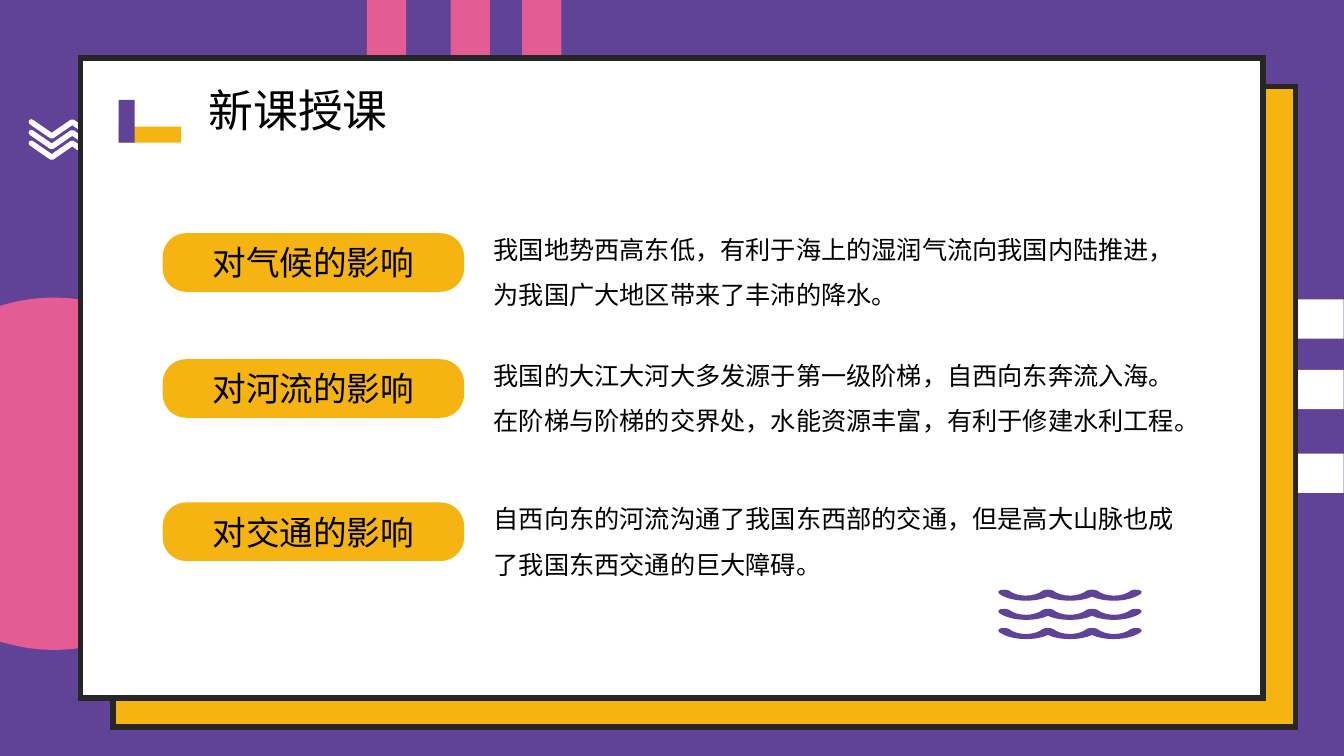
"""Build the lesson slide on how the terrain affects climate, rivers and traffic."""
from dataclasses import dataclass
from typing import Optional

from lxml import etree
from pptx import Presentation
from pptx import util as u
from pptx.dml import color as c
from pptx.enum import shapes as s
from pptx.enum import text as t
from pptx.oxml import ns

PURPLE = c.RGBColor(0x60, 0x42, 0x97)
YELLOW = c.RGBColor(0xF5, 0xB4, 0x12)
PINK = c.RGBColor(0xE4, 0x5C, 0x94)
DARK = c.RGBColor(0x26, 0x26, 0x26)
WHITE = c.RGBColor(0xFF, 0xFF, 0xFF)
BLACK = c.RGBColor(0x00, 0x00, 0x00)
FONT = "Noto Sans CJK SC"

Point = tuple[float, float]


@dataclass(frozen=True)
class Block:
    left: float
    top: float
    width: float
    height: float
    fill: c.RGBColor
    border: Optional[c.RGBColor] = None
    rounding: Optional[float] = None


@dataclass(frozen=True)
class Effect:
    top: float
    heading: str
    detail: str


WHITE_BARS = [Block(683.3, top, 276.5, 28.1, WHITE) for top in (213.8, 264.2, 324)]
PINK_BARS = [Block(left, 0, 28.1, 215.3, PINK) for left in (262.1, 321.8, 373)]
BACK_CARD = Block(80.8, 61.9, 844.6, 457.2, YELLOW, DARK)
FRONT_CARD = Block(57.6, 41.5, 844.6, 457.2, WHITE, DARK)
TITLE_MARK = [
    Block(84.8, 90.5, 44.6, 11.4, YELLOW),
    Block(84.8, 71.3, 11.4, 30.6, PURPLE),
]
DISC = [
    (0, 218.5), (13, 214.6), (25.2, 212.6), (38.9, 212.6),
    (108, 212.6), (164.3, 269.3), (164.3, 338.4),
    (164.3, 407.5), (108, 464.2), (38.9, 464.2),
    (25.2, 464.2), (13, 462.2), (0, 458.3),
]
EFFECTS = [
    Effect(166.6, "对气候的影响",
           "我国地势西高东低，有利于海上的湿润气流向我国内陆推进，为我国广大地区带来了丰沛的降水。"),
    Effect(256.6, "对河流的影响",
           "我国的大江大河大多发源于第一级阶梯，自西向东奔流入海。在阶梯与阶梯的交界处，水能资源丰富，有利于修建水利工程。"),
    Effect(358.9, "对交通的影响",
           "自西向东的河流沟通了我国东西部的交通，但是高大山脉也成了我国东西交通的巨大障碍。"),
]


def draw_block(slide, block: Block):
    kind = s.MSO_SHAPE.RECTANGLE if block.rounding is None else s.MSO_SHAPE.ROUNDED_RECTANGLE
    shape = slide.shapes.add_shape(
        kind, u.Pt(block.left), u.Pt(block.top), u.Pt(block.width), u.Pt(block.height))
    if block.rounding is not None:
        shape.adjustments[0] = block.rounding
    shape.shadow.inherit = False
    shape.fill.solid()
    shape.fill.fore_color.rgb = block.fill
    if block.border is None:
        shape.line.fill.background()
    else:
        shape.line.color.rgb = block.border
        shape.line.width = u.Pt(4)
        line = shape.element.spPr.find(ns.qn("a:ln"))
        etree.SubElement(line, ns.qn("a:miter"), lim="800000")
    return shape


def draw_outline(slide, contours: list[list[Point]], closed: bool = True):
    scaled = [[(u.Pt(x), u.Pt(y)) for x, y in contour] for contour in contours]
    builder = slide.shapes.build_freeform(*scaled[0][0])
    for index, contour in enumerate(scaled):
        if index:
            builder.move_to(*contour[0])
        builder.add_line_segments(contour[1:], close=closed)
    shape = builder.convert_to_shape()
    shape.shadow.inherit = False
    return shape


def draw_curves(slide, contours: list[list[Point]], fill: c.RGBColor) -> None:
    shape = draw_outline(slide, contours)
    segments = list(shape.element.spPr.iter(ns.qn("a:lnTo")))
    for first in range(0, len(segments), 3):
        curve = etree.Element(ns.qn("a:cubicBezTo"))
        segments[first].addprevious(curve)
        for segment in segments[first:first + 3]:
            curve.append(segment[0])
            segment.getparent().remove(segment)
    shape.fill.solid()
    shape.fill.fore_color.rgb = fill
    shape.line.fill.background()


def draw_zigzags(slide) -> None:
    for row in range(3):
        points = [(22.3 + 14.65 * i, 87.1 + 7.6 * row + 10.1 * (i % 2)) for i in range(7)]
        shape = draw_outline(slide, [points], closed=False)
        shape.fill.background()
        shape.line.color.rgb = WHITE
        shape.line.width = u.Pt(3.88)
        shape.element.spPr.find(ns.qn("a:ln")).set("cap", "rnd")


def wave_contour(crest: float) -> list[Point]:
    dip = [(-9.4, 2.9), (-4.7, 4.3), (0, 4.3), (4.7, 4.3), (9.4, 2.9), (12, 0.7)]
    bridge = [(13, 0.2), (14.3, 0), (15.75, 0), (17.2, 0), (18.5, 0.2), (19.5, 0.7)]
    right_tip = [(13.4, 0), (16.2, -0.2), (18, 0.2), (20, 0.7), (20.2, 2), (19.2, 2.9)]
    left_tip = [(-x, y) for x, y in right_tip[-2::-1]] + [(-12, 0.7)]
    rising = [(-5.8, 7.9), (-11.5, 7), (-15.75, 5)]
    falling = [(11.5, 7), (5.8, 7.9), (0, 7.9)]
    right_end = [(14.9, 6), (7.8, 7.9), (0, 7.9)]
    left_end = [(-7.8, 7.9), (-14.9, 6), (-19.2, 2.9)]
    parts = [
        (0, [(-12, 0.7)] + dip + bridge),
        (1, dip + bridge),
        (2, dip + right_tip + right_end + rising),
        (1, falling + rising),
        (0, falling + left_end + left_tip),
    ]
    return [(732.8 + 31.5 * scallop + x, crest + y) for scallop, part in parts for x, y in part]


def write_text(frame, content: str, size: float, align: t.PP_ALIGN, anchor: t.MSO_ANCHOR,
               spacing: float = 1) -> None:
    frame.word_wrap = True
    frame.auto_size = t.MSO_AUTO_SIZE.NONE
    frame.vertical_anchor = anchor
    paragraph = frame.paragraphs[0]
    paragraph.text = content
    paragraph.alignment = align
    paragraph.line_spacing = spacing
    paragraph.font.size = u.Pt(size)
    paragraph.font.color.rgb = BLACK
    paragraph.font.name = FONT
    properties = paragraph._p.pPr.find(ns.qn("a:defRPr"))
    etree.SubElement(properties, ns.qn("a:ea"), typeface=FONT)


def place_title(slide, card) -> None:
    title = slide.shapes.title
    title.left, title.top, title.width, title.height = (
        u.Pt(length) for length in (141.8, 55.4, 172.1, 46.1))
    write_text(title.text_frame, "新课授课", 32, t.PP_ALIGN.LEFT, t.MSO_ANCHOR.TOP)
    card.element.addnext(title.element)


def draw_effect(slide, effect: Effect) -> None:
    pill = draw_block(slide, Block(116.2, effect.top, 215.3, 41.8, YELLOW, rounding=0.404))
    write_text(pill.text_frame, effect.heading, 24, t.PP_ALIGN.CENTER, t.MSO_ANCHOR.MIDDLE)
    detail = slide.shapes.add_textbox(
        u.Pt(345.6), u.Pt(effect.top - 13.5), u.Pt(512.6), u.Pt(69.1))
    write_text(detail.text_frame, effect.detail, 18, t.PP_ALIGN.LEFT, t.MSO_ANCHOR.TOP, 1.5)


def main() -> None:
    presentation = Presentation()
    presentation.slide_width, presentation.slide_height = u.Pt(960), u.Pt(540)
    slide = presentation.slides.add_slide(presentation.slide_layouts[5])
    slide.background.fill.solid()
    slide.background.fill.fore_color.rgb = PURPLE

    for block in [*WHITE_BARS, BACK_CARD]:
        draw_block(slide, block)
    draw_curves(slide, [DISC], PINK)
    for block in PINK_BARS:
        draw_block(slide, block)
    draw_zigzags(slide)

    place_title(slide, draw_block(slide, FRONT_CARD))
    for block in TITLE_MARK:
        draw_block(slide, block)
    for effect in EFFECTS:
        draw_effect(slide, effect)
    draw_curves(slide, [wave_contour(421.2 + 13.7 * row) for row in range(3)], PURPLE)
    presentation.save("out.pptx")


if __name__ == "__main__":
    main()
